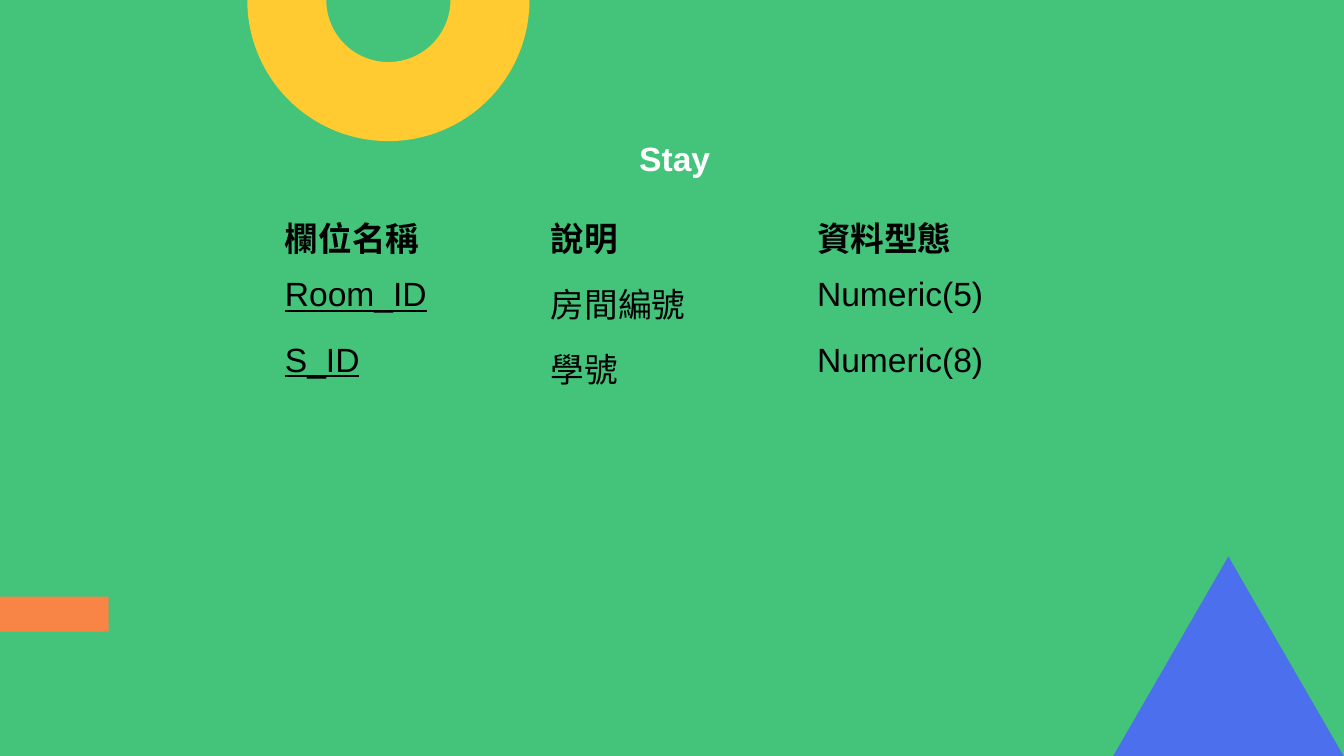
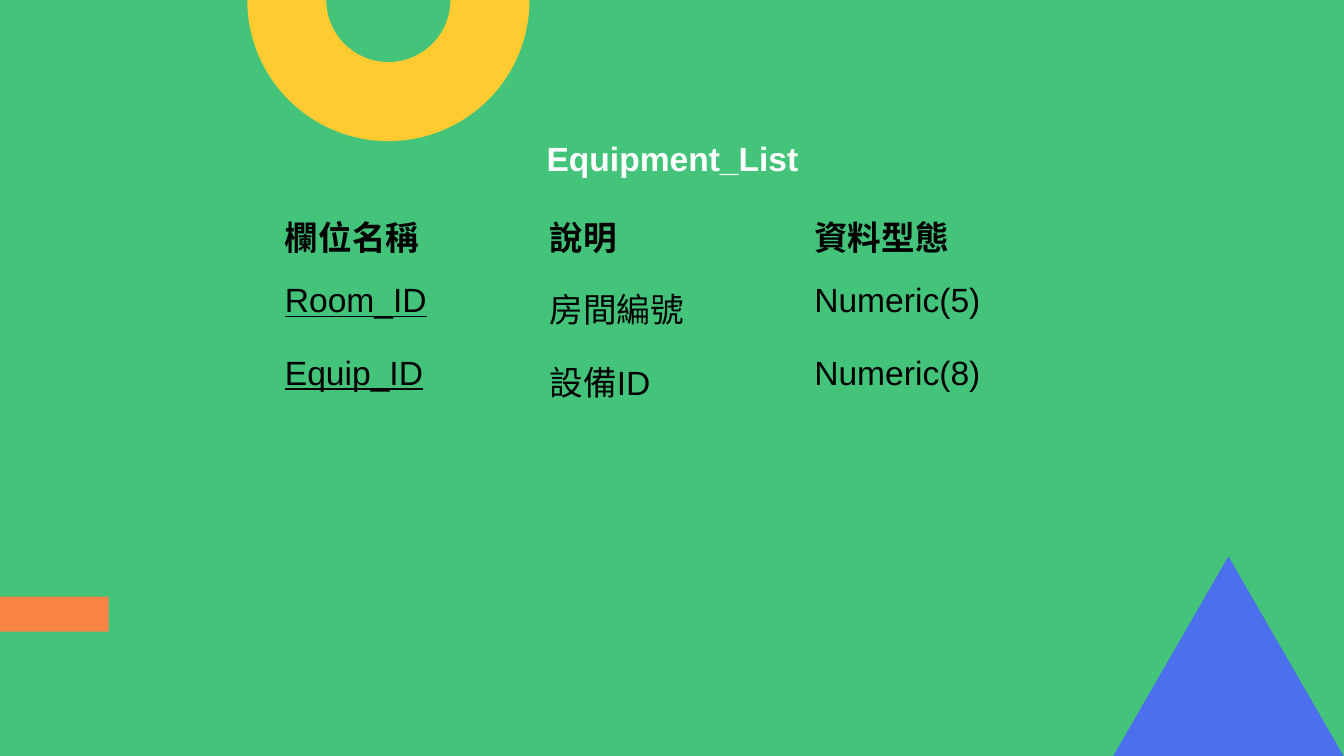
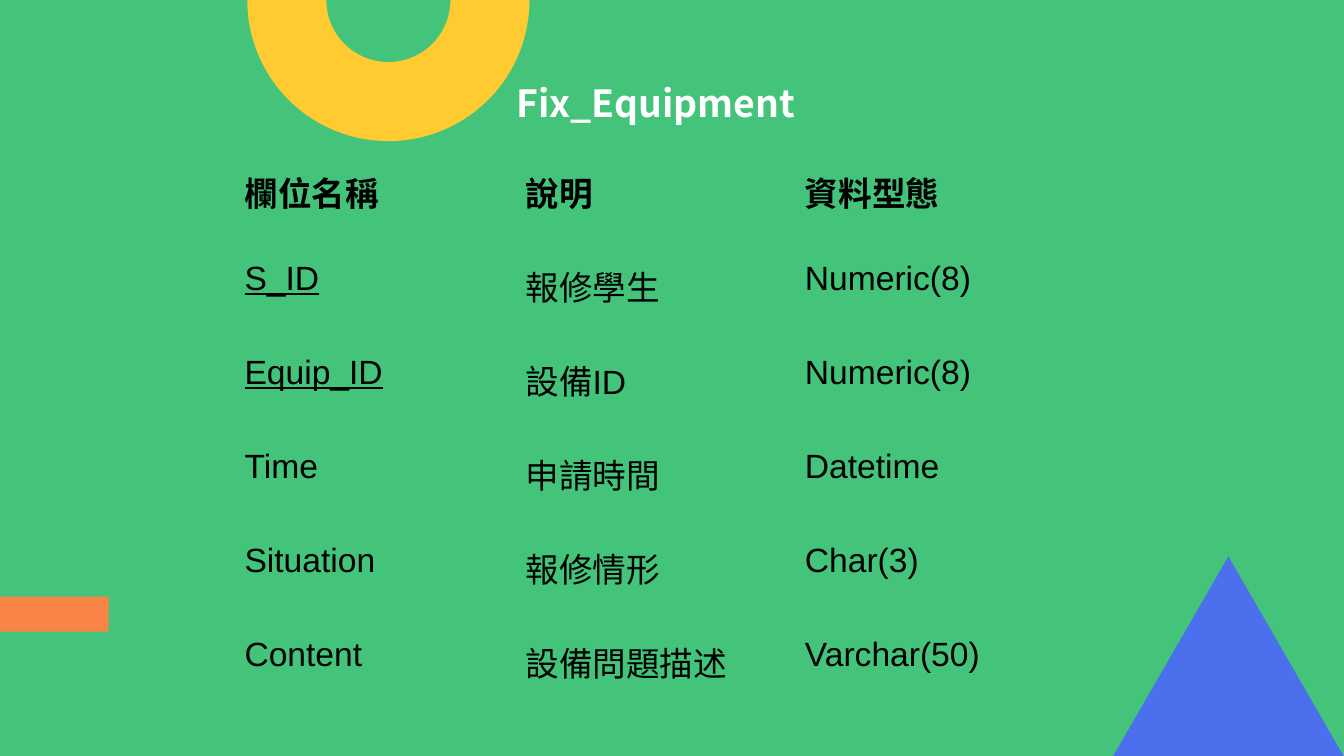
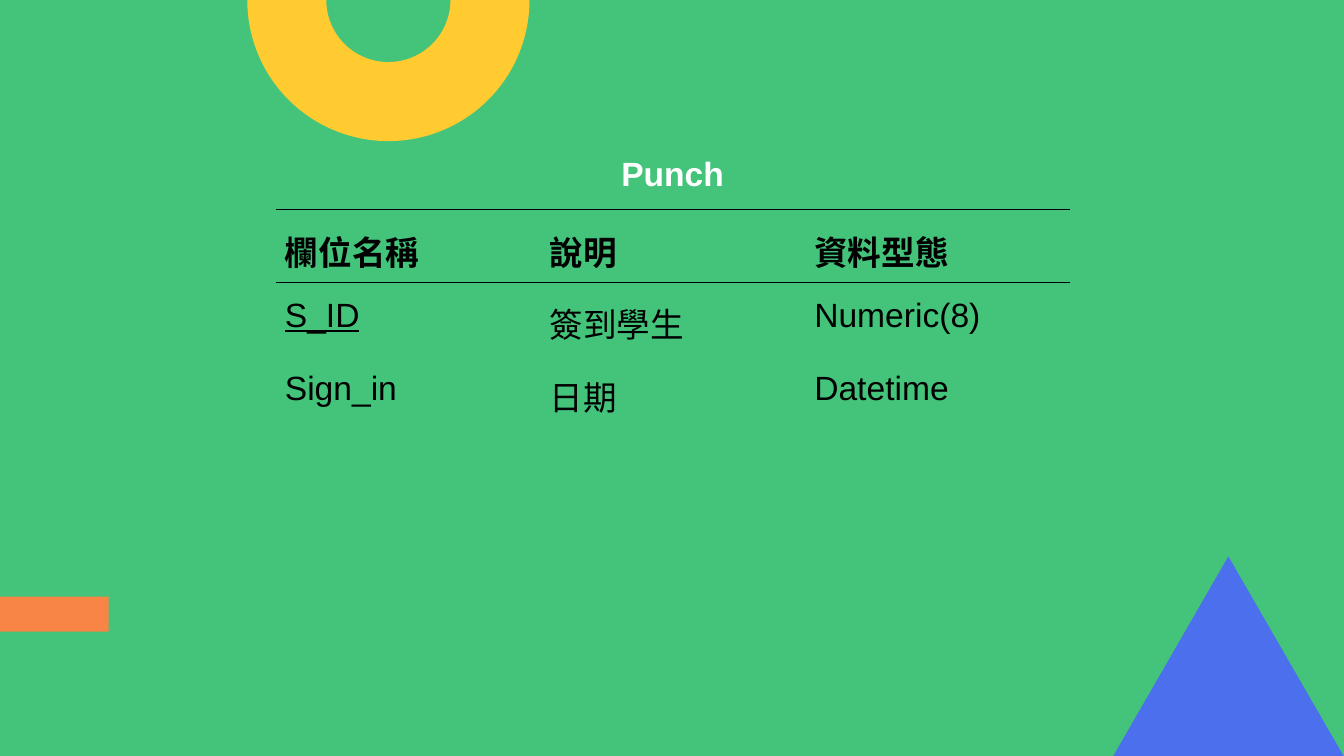
"""Build four database table definition slides over shared geometric decoration."""
import pptx
import pptx.dml.color
import pptx.enum.shapes
import pptx.enum.text
import pptx.oxml
import pptx.oxml.ns
import pptx.util

Inches, Pt = pptx.util.Inches, pptx.util.Pt
RGB = pptx.dml.color.RGBColor.from_string
MSO = pptx.enum.shapes.MSO_SHAPE
ALIGN = pptx.enum.text.PP_ALIGN

COLORS = {"green": "43C47A", "yellow": "FFCB30", "blue": "4B6FED",
          "orange": "F88545", "white": "FFFFFF", "black": "000000"}
LATIN, CJK = "Arial", "Noto Sans CJK TC"
NO_GRID_STYLE = "{2D5ABB26-0587-4C30-8999-92F81FD0307C}"
HEADER = ("欄位名稱", "說明", "資料型態")
DECOR = [
    (MSO.DONUT, (1.84, -1.05, 2.1, 2.1), "yellow"),
    (MSO.ISOSCELES_TRIANGLE, (8.28, 4.14, 1.72, 1.49), "blue"),
    (MSO.RECTANGLE, (-0.42, 4.44, 1.23, 0.26), "orange"),
]
EDGES = ("lnL", "lnR", "lnT", "lnB")
RULES = {0: {"lnB": 1}, 1: {"lnT": 1, "lnB": 0.75}, 2: {"lnT": 0.75}}
TABLES = [
    dict(title="Stay", left=2.05, top=0.91, cols=[1.98] * 3, heights=[0.55] + [0.41] * 3,
         keys=2, bottom=0, fields=[("Room_ID", "房間編號", "Numeric(5)"),
                                   ("S_ID", "學號", "Numeric(8)")]),
    dict(title="Equipment_List", left=2.05, top=0.91, cols=[1.97] * 3, heights=[0.54] * 4,
         keys=2, bottom=0, fields=[("Room_ID", "房間編號", "Numeric(5)"),
                                   ("Equip_ID", "設備ID", "Numeric(8)")]),
    dict(title="Fix_Equipment", left=1.75, top=0.42, cols=[2.09, 2.08, 2.09],
         heights=[0.7] * 6 + [0.75],
         title_format=dict(size=20, font=CJK, inset=0.07, bottom=0.07),
         keys=2, bottom=0.07, fields=[("S_ID", "報修學生", "Numeric(8)"),
                                      ("Equip_ID", "設備ID", "Numeric(8)"),
                                      ("Time", "申請時間", "Datetime"),
                                      ("Situation", "報修情形", "Char(3)"),
                                      ("Content", "設備問題描述", "Varchar(50)")]),
    dict(title="Punch", left=2.05, top=1.02, cols=[1.97] * 3, heights=[0.54] * 4,
         keys=1, bottom=0, rules=RULES, fields=[("S_ID", "簽到學生", "Numeric(8)"),
                                                ("Sign_in", "日期", "Datetime")]),
]


def write(cell, text, size=18, font=LATIN, color="black", bold=False,
          underline=False, align=ALIGN.LEFT, inset=0.07, bottom=0.07):
    cell.margin_left = cell.margin_right = cell.margin_top = Inches(inset)
    cell.margin_bottom = Inches(bottom)
    p = cell.text_frame.paragraphs[0]
    p.alignment = align
    p.line_spacing = 1.15
    r = p.add_run()
    r.text = text
    r.font.size = Pt(size)
    r.font.name = font
    r.font.bold = bold
    r.font.underline = underline
    r.font.color.rgb = RGB(COLORS[color])
    ea = pptx.oxml.parse_xml(f'<a:ea {pptx.oxml.ns.nsdecls("a")} typeface="{CJK}"/>')
    r.font._element.append(ea)


def set_borders(cell, visible):
    for index, edge in enumerate(EDGES):
        alpha = 100000 if edge in visible else 0
        cell._tc.get_or_add_tcPr().insert(index, pptx.oxml.parse_xml(
            f'<a:{edge} {pptx.oxml.ns.nsdecls("a")} w="{Pt(visible.get(edge, 0.75))}">'
            f'<a:solidFill><a:srgbClr val="{COLORS["black"]}"><a:alpha val="{alpha}"/>'
            f'</a:srgbClr></a:solidFill></a:{edge}>'))


prs = pptx.Presentation()
prs.slide_width = Inches(10)
prs.slide_height = prs.slide_width * 9 // 16
fill = prs.slide_master.background.fill
fill.solid()
fill.fore_color.rgb = RGB(COLORS["green"])

for spec in TABLES:
    s = prs.slides.add_slide(prs.slide_layouts[6])
    for kind, box, color in DECOR:
        sp = s.shapes.add_shape(kind, *map(Inches, box))
        sp.shadow.inherit = False
        sp.fill.solid()
        sp.fill.fore_color.rgb = RGB(COLORS[color])
        sp.line.fill.background()
        if kind == MSO.DONUT:
            sp.adjustments[0] = 0.28

    cols, heights = spec["cols"], spec["heights"]
    table = s.shapes.add_table(
        len(heights), len(cols), Inches(spec["left"]), Inches(spec["top"]),
        Inches(sum(cols)), Inches(sum(heights))).table
    table.first_row = table.horz_banding = False
    table._tbl.tblPr[0].text = NO_GRID_STYLE
    for col, width in zip(table.columns, cols):
        col.width = Inches(width)
    for row, height in zip(table.rows, heights):
        row.height = Inches(height)

    table.cell(0, 0).merge(table.cell(0, len(cols) - 1))
    title_format = dict(color="white", bold=True, align=ALIGN.CENTER, inset=0.1, bottom=0.1)
    write(table.cell(0, 0), spec["title"], **(title_format | spec.get("title_format", {})))
    for i, values in enumerate([HEADER] + spec["fields"]):
        for j, value in enumerate(values):
            write(table.cell(i + 1, j), value, bold=i == 0, bottom=spec["bottom"],
                  underline=j == 0 and 1 <= i <= spec["keys"])

    rules = spec.get("rules", {})
    for i, row in enumerate(table.rows):
        for cell in row.cells:
            cell.fill.background()
            set_borders(cell, rules.get(i, {}))

prs.save("out.pptx")
